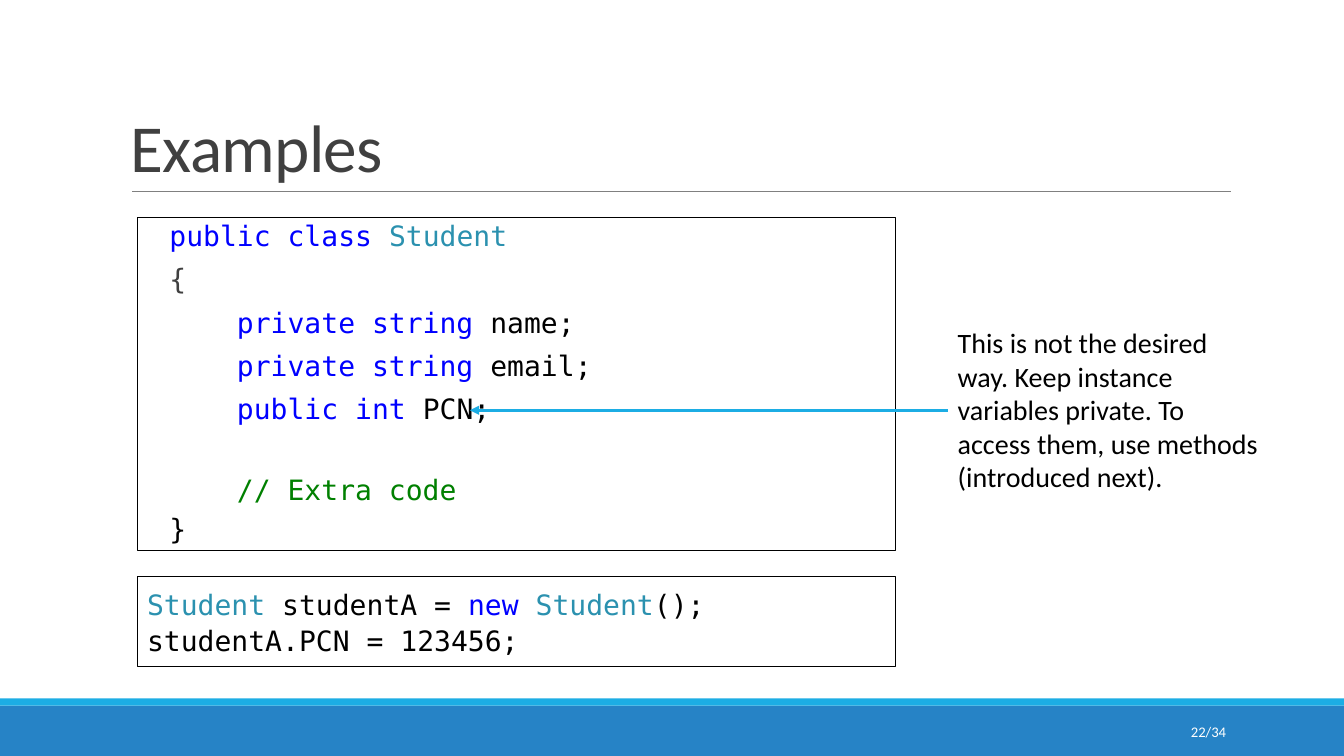
"""Build the slide on instance variables of a class."""
from dataclasses import dataclass
from lxml.etree import SubElement
from pptx import Presentation
from pptx.dml.color import RGBColor as Rgb
from pptx.enum.shapes import MSO_CONNECTOR as Conn, MSO_SHAPE as Shape
from pptx.enum.text import MSO_ANCHOR as Anchor, PP_ALIGN as Align
from pptx.oxml.ns import qn
from pptx.util import Inches, Pt

SANS, MONO = "Calibri", "DejaVu Sans Mono"
BLACK, WHITE, GREY = "000000", "FFFFFF", "404040"
KEY, TYPE, NOTE, SKY = "0000FF", "2B91AF", "008000", "1CADE4"
LEFT, STEP = 0.32, 0.67


@dataclass
class Line:
    runs: list[tuple[str, str]]
    level: int = 0
    before: float = 5.2


@dataclass
class Band:
    top: float
    height: float
    color: str


@dataclass
class Label:
    text: str
    box: tuple[float, float, float, float]
    size: float
    color: str
    anchor: Anchor = Anchor.TOP
    align: Align = Align.LEFT
    space: float = 1.0
    track: int = 0


BANDS = [Band(7, 0.5, "2683C6"), Band(6.93, 0.07, SKY)]

LABELS = [
    Label("Examples", (1.2, 0.31, 11, 1.59), 48, GREY, Anchor.BOTTOM,
          space=0.85, track=-50),
    Label("This is not the desired way. Keep instance variables private. "
          "To access them, use methods (introduced next).",
          (9.4, 3.18, 3.19, 1.78), 20, BLACK),
    Label("22/34", (10.83, 7.06, 1.43, 0.4), 10.5, WHITE, Anchor.MIDDLE,
          Align.RIGHT),
]

CLASS = [
    Line([("public class ", KEY), ("Student", TYPE)]),
    Line([("{", GREY)]),
    Line([("private string ", KEY), ("name;", BLACK)], 1),
    Line([("private string ", KEY), ("email;", BLACK)], 1),
    Line([("public int ", KEY), ("PCN;", BLACK)], 1),
    Line([("// Extra code", NOTE)], 1, 32.5),
    Line([("}", BLACK)], 0, 2),
]

USAGE = [
    Line([("Student ", TYPE), ("studentA = ", BLACK), ("new ", KEY),
          ("Student", TYPE), ("();", BLACK)], before=0),
    Line([("studentA.PCN = 123456;", BLACK)], before=0),
]


def rgb(color: str) -> Rgb:
    """Turn a hex string into a colour."""
    return Rgb.from_string(color)


def style(run, font: str, size: float, color: str) -> None:
    """Set the font of a run."""
    run.font.name = font
    run.font.size = Pt(size)
    run.font.color.rgb = rgb(color)


def add_box(slide, box: tuple[float, float, float, float]):
    """Add a wrapping text box."""
    shape = slide.shapes.add_textbox(*map(Inches, box))
    shape.text_frame.word_wrap = True
    return shape


def add_band(slide, band: Band) -> None:
    """Draw a full-width footer band."""
    shape = slide.shapes.add_shape(
        Shape.RECTANGLE, 0, Inches(band.top), Inches(13.33), Inches(band.height))
    shape.shadow.inherit = False
    shape.fill.solid()
    shape.fill.fore_color.rgb = rgb(band.color)
    shape.line.fill.background()


def add_label(slide, label: Label) -> None:
    """Draw a text of one paragraph."""
    frame = add_box(slide, label.box).text_frame
    frame.vertical_anchor = label.anchor
    frame.text = label.text
    para = frame.paragraphs[0]
    para.alignment = label.align
    para.line_spacing = label.space
    run = para.runs[0]
    style(run, SANS, label.size, label.color)
    if label.track:
        run.font._element.set("spc", str(label.track))


def add_code(slide, lines: list[Line], top: float, height: float,
             space: float, after: float = 0, left: float = 0):
    """Draw a framed block of coloured code."""
    shape = add_box(slide, (1.36, top, 7.52, height))
    shape.line.color.rgb = rgb(BLACK)
    shape.line.width = Pt(0.75)
    frame = shape.text_frame
    for i, line in enumerate(lines):
        para = frame.add_paragraph() if i else frame.paragraphs[0]
        para.line_spacing = space
        para.space_before = Pt(line.before)
        para.space_after = Pt(after)
        indent = Inches(left + STEP * line.level)
        para._p.get_or_add_pPr().set("marL", str(indent))
        for text, color in line.runs:
            run = para.add_run()
            run.text = text
            style(run, MONO, 20, color)
    return shape


def add_line(slide, start: float, end: float, y: float, color: str,
             width: float, head: bool = False) -> None:
    """Draw a level line, with an arrowhead at its end if asked."""
    line = slide.shapes.add_connector(
        Conn.STRAIGHT, Inches(start), Inches(y), Inches(end), Inches(y))
    line.line.color.rgb = rgb(color)
    line.line.width = Pt(width)
    if head:
        SubElement(line.line._get_or_add_ln(), qn("a:tailEnd"), type="triangle")
    SubElement(line._element.spPr, qn("a:effectLst"))


def main() -> None:
    """Build and save the slide."""
    deck = Presentation()
    deck.slide_width, deck.slide_height = Inches(13.33), Inches(7.5)
    slide = deck.slides.add_slide(deck.slide_layouts[6])
    for band in BANDS:
        add_band(slide, band)
    add_line(slide, 1.31, 12.21, 1.9, "808080", 0.5)
    frame = add_code(slide, CLASS, 2.16, 3.3, 0.9, 4, LEFT).text_frame
    frame.margin_left = frame.margin_right = 0
    usage = add_code(slide, USAGE, 5.72, 0.89, 1.07)
    usage.fill.solid()
    usage.fill.fore_color.rgb = rgb(WHITE)
    usage.text_frame.vertical_anchor = Anchor.MIDDLE
    add_line(slide, 9.4, 4.66, 4.07, SKY, 2.25, True)
    for label in LABELS:
        add_label(slide, label)
    deck.save("out.pptx")


if __name__ == "__main__":
    main()
